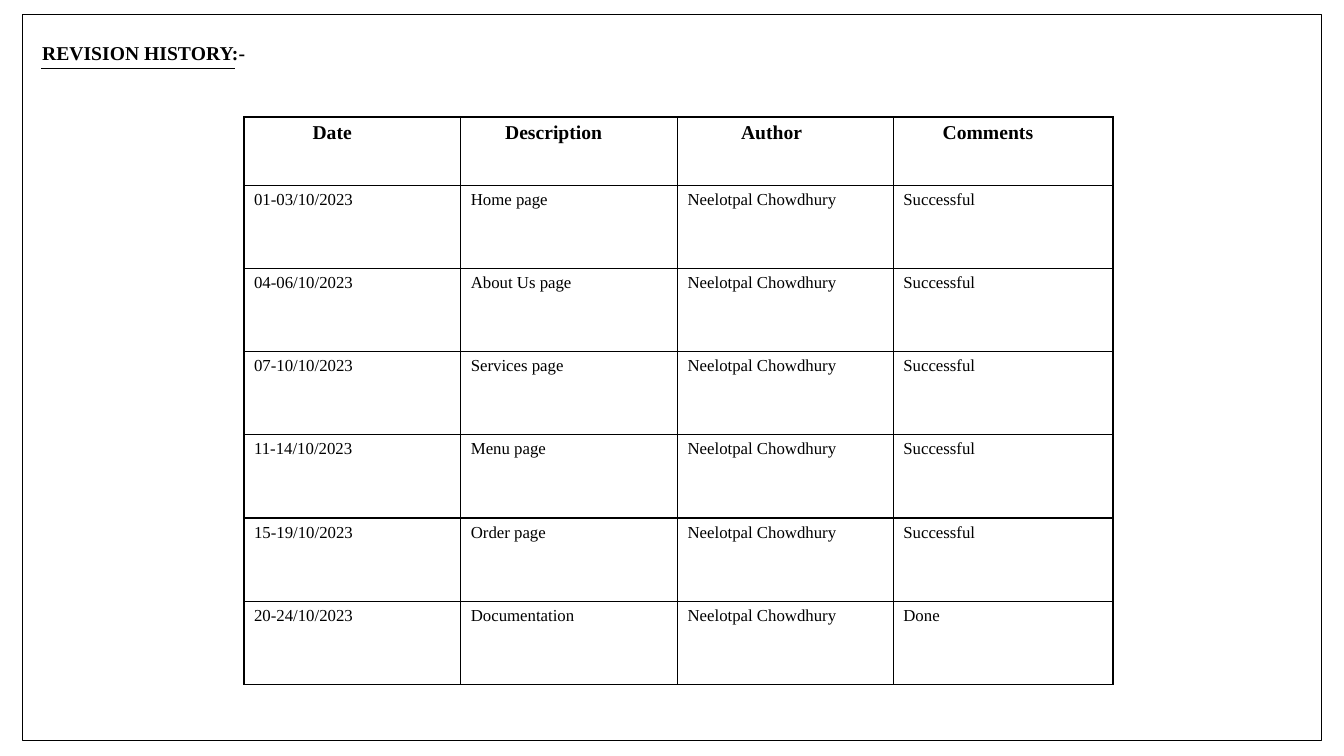
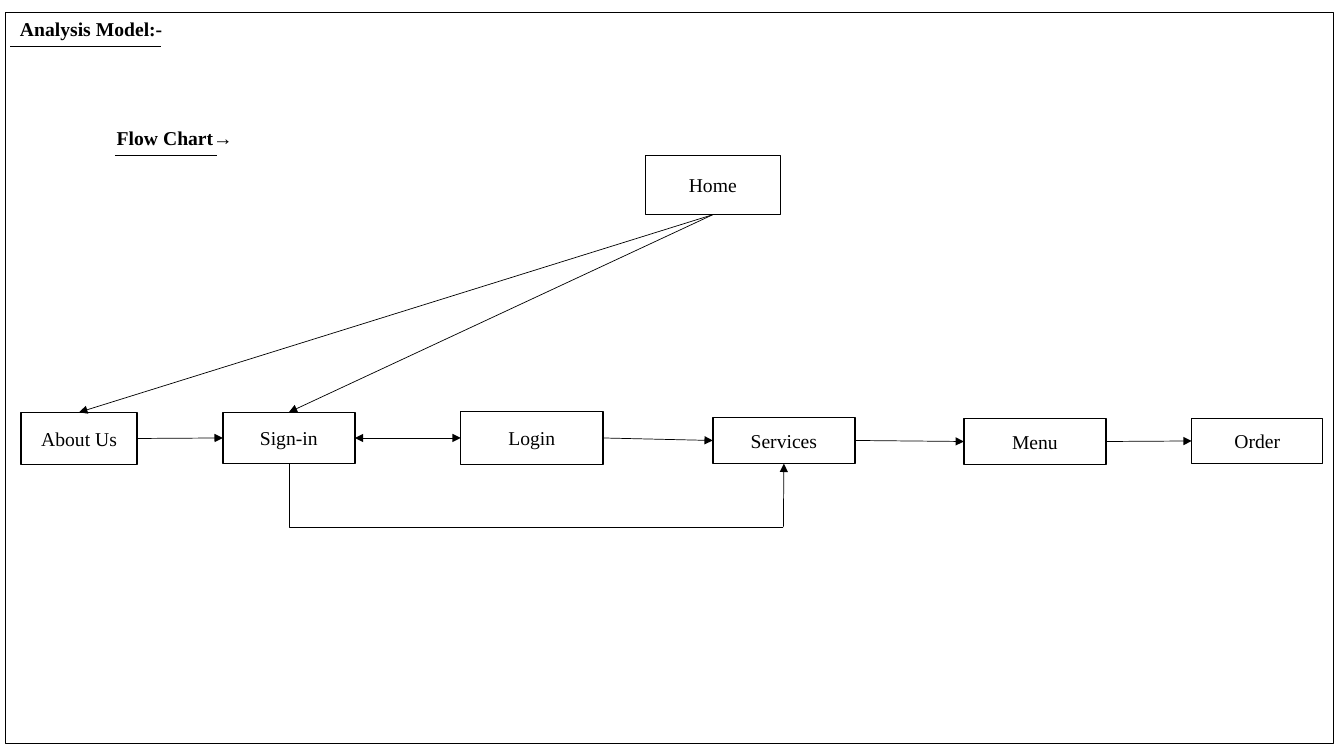
from lxml import etree
from pptx import Presentation
from pptx import util as u
from pptx.dml.color import RGBColor
from pptx.enum import shapes, text
from pptx.oxml import ns

PX = 9144  # 100 px to the inch
FONT = "Times New Roman"
BLACK, WHITE = "000000", "FFFFFF"
HEADING_SIZE, BODY_SIZE = 14, 12
TOP, LEFT, BOTTOM, RIGHT = range(4)  # connection sites of a rectangle

COLUMNS = [("Date", 215, 68), ("Description", 215, 44),
           ("Author", 214, 63), ("Comments", 218, 49)]  # name, width, indent
AUTHOR = "Neelotpal Chowdhury"
REVISIONS = [
    ("01-03/10/2023", "Home page", AUTHOR, "Successful"),
    ("04-06/10/2023", "About Us page", AUTHOR, "Successful"),
    ("07-10/10/2023", "Services page", AUTHOR, "Successful"),
    ("11-14/10/2023", "Menu page", AUTHOR, "Successful"),
    ("15-19/10/2023", "Order page", AUTHOR, "Successful"),
    ("20-24/10/2023", "Documentation", AUTHOR, "Done"),
]
PAGES = {
    "Home": (640, 154, 134, 59),
    "About Us": (21, 409, 115, 52),
    "Sign-in": (221, 409, 131, 51),
    "Login": (457, 408, 141, 53),
    "Services": (707, 414, 141, 46),
    "Menu": (956, 415, 141, 46),
    "Order": (1182, 415, 130, 45),
}
# from, site, to, site, arrowheads at both ends
LINKS = [
    ("Home", BOTTOM, "About Us", TOP, False),
    ("Home", BOTTOM, "Sign-in", TOP, False),
    ("About Us", RIGHT, "Sign-in", LEFT, False),
    ("Sign-in", RIGHT, "Login", LEFT, True),
    ("Login", RIGHT, "Services", LEFT, False),
    ("Services", RIGHT, "Menu", LEFT, False),
    ("Menu", RIGHT, "Order", LEFT, False),
]


def px(*lengths):
    return [u.Emu(length * PX) for length in lengths]


def color(value):
    return RGBColor.from_string(value)


def style_text(frame, size, bold=False):
    for paragraph in frame.paragraphs:
        for run in paragraph.runs:
            run.font.name = FONT
            run.font.size = u.Pt(size)
            run.font.bold = bold
            run.font.color.rgb = color(BLACK)


def add_rectangle(slide, box, weight, fill=None):
    shape = slide.shapes.add_shape(shapes.MSO_SHAPE.RECTANGLE, *px(*box))
    shape.shadow.inherit = False
    if fill:
        shape.fill.solid()
        shape.fill.fore_color.rgb = color(fill)
    else:
        shape.fill.background()
    shape.line.color.rgb = color(BLACK)
    shape.line.width = u.Pt(weight)
    return shape


def add_line(slide, start, end, arrows=(), kind=shapes.MSO_CONNECTOR.STRAIGHT):
    """Draw a thin line; arrows lists headEnd and tailEnd as needed."""
    line = slide.shapes.add_connector(kind, *px(*start, *end))
    line.line.color.rgb = color(BLACK)
    line.line.width = u.Pt(0.5)
    for arrow in arrows:
        etree.SubElement(line.line._get_or_add_ln(), ns.qn("a:" + arrow),
                         type="triangle")
    etree.SubElement(line._element.spPr, ns.qn("a:effectLst"))
    return line


def add_heading(slide, wording, box, rule_start, rule_end, rule_y):
    heading = slide.shapes.add_textbox(*px(*box))
    frame = heading.text_frame
    frame.word_wrap = True
    frame.auto_size = text.MSO_AUTO_SIZE.SHAPE_TO_FIT_TEXT
    frame.text = wording
    style_text(frame, HEADING_SIZE, bold=True)
    add_line(slide, (rule_start, rule_y), (rule_end, rule_y))


def add_page_box(slide, name, box):
    shape = add_rectangle(slide, box, 1, WHITE)
    frame = shape.text_frame
    frame.text = name
    frame.vertical_anchor = text.MSO_ANCHOR.MIDDLE
    frame.paragraphs[0].alignment = text.PP_ALIGN.CENTER
    style_text(frame, HEADING_SIZE)
    return shape


def set_borders(cell):
    properties = cell._tc.get_or_add_tcPr()
    for index, side in enumerate(("lnL", "lnR", "lnT", "lnB")):
        border = etree.Element(ns.qn("a:" + side), w=str(u.Pt(1)))
        fill = etree.SubElement(border, ns.qn("a:solidFill"))
        etree.SubElement(fill, ns.qn("a:srgbClr"), val=BLACK)
        properties.insert(index, border)


def add_revision_table(slide):
    names, widths, indents = zip(*COLUMNS)
    heights = [68] + [82.5] * len(REVISIONS)
    heights = [int(height * PX) for height in heights]
    left, top, width = px(242, 116, sum(widths))
    table = slide.shapes.add_table(len(heights), len(widths), left, top,
                                   width, sum(heights)).table
    for column, column_width in zip(table.columns, px(*widths)):
        column.width = column_width
    for row, height, values in zip(table.rows, heights, [names, *REVISIONS]):
        row.height = height
        is_header = values is names
        for cell, value, indent in zip(row.cells, values, indents):
            cell.text = value
            cell.fill.background()
            set_borders(cell)
            if is_header:
                cell.margin_left = px(indent)[0]
            style_text(cell.text_frame,
                       HEADING_SIZE if is_header else BODY_SIZE, is_header)


def add_slide(presentation, frame_box):
    slide = presentation.slides.add_slide(presentation.slide_layouts[6])
    add_rectangle(slide, frame_box, 0.75)
    return slide


def build_revision_history(presentation):
    slide = add_slide(presentation, (22, 14, 1289, 721))
    add_heading(slide, "REVISION HISTORY:-", (32, 36, 347, 34), 41, 233, 68)
    add_revision_table(slide)


def build_analysis_model(presentation):
    slide = add_slide(presentation, (5, 12, 1318, 726))
    add_heading(slide, "Analysis Model:-", (10, 12, 367, 34), 10, 160, 46)
    add_heading(slide, "Flow Chart→", (106, 120, 183, 34), 114, 215, 154)
    boxes = {name: add_page_box(slide, name, box)
             for name, box in PAGES.items()}

    # Links between neighbouring pages
    for source, source_site, target, target_site, both in LINKS:
        arrows = ("headEnd", "tailEnd") if both else ("tailEnd",)
        link = add_line(slide, (0, 0), (0, 0), arrows)
        link.begin_connect(boxes[source], source_site)
        link.end_connect(boxes[target], target_site)

    # Detour from Sign-in below Login: down and across, then up to Services
    corner = (777, 523)
    detour = add_line(slide, (287, 460), corner,
                      kind=shapes.MSO_CONNECTOR.ELBOW)
    guides = detour._element.spPr.find(ns.qn("a:prstGeom")).find(
        ns.qn("a:avLst"))
    etree.SubElement(guides, ns.qn("a:gd"), name="adj1", fmla="val 0")
    detour.begin_connect(boxes["Sign-in"], BOTTOM)
    rise = add_line(slide, corner, (777, 460), ("tailEnd",))
    rise.end_connect(boxes["Services"], BOTTOM)


def main():
    presentation = Presentation()
    presentation.slide_width, presentation.slide_height = px(1333, 750)
    build_revision_history(presentation)
    build_analysis_model(presentation)
    presentation.save("out.pptx")


if __name__ == "__main__":
    main()
